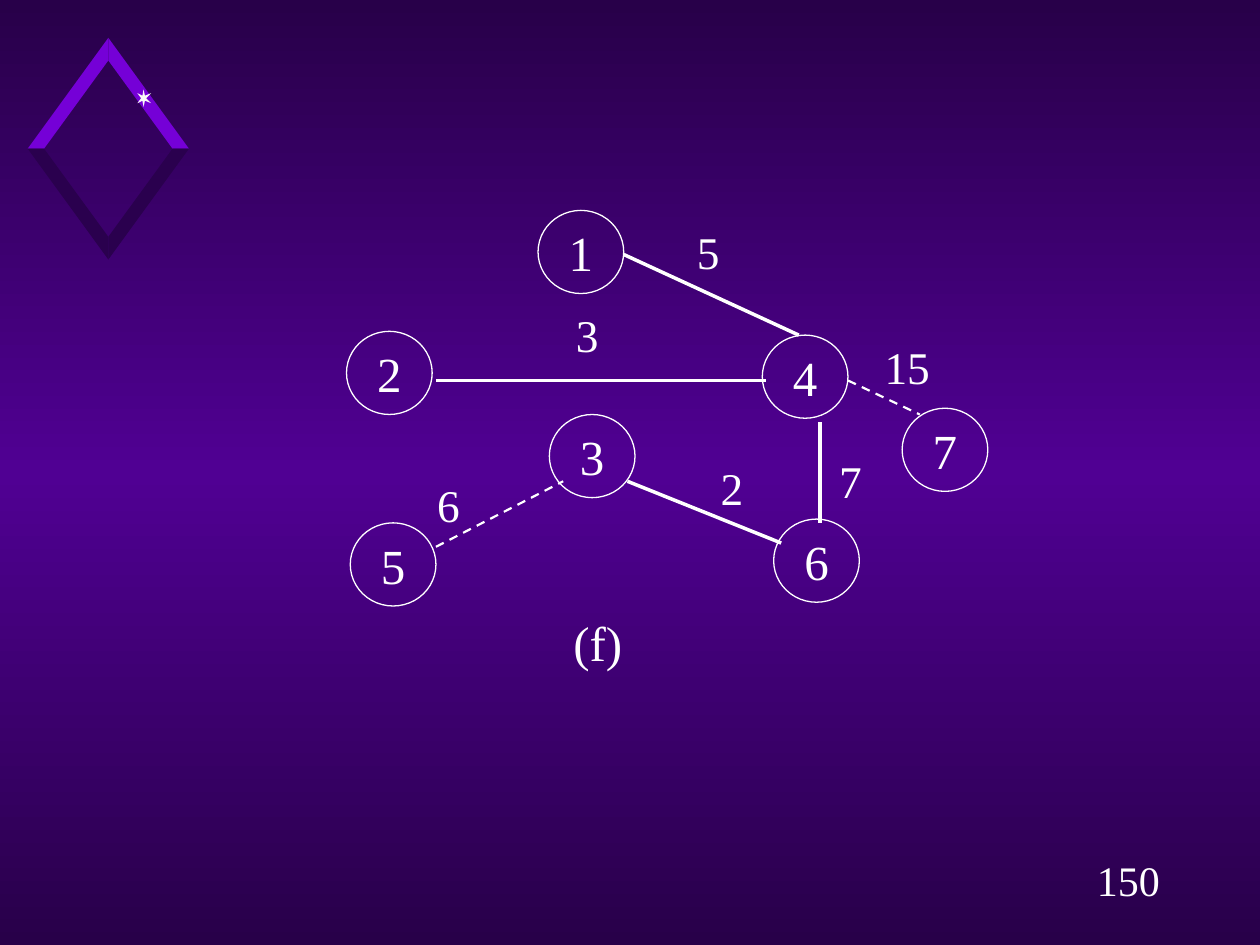
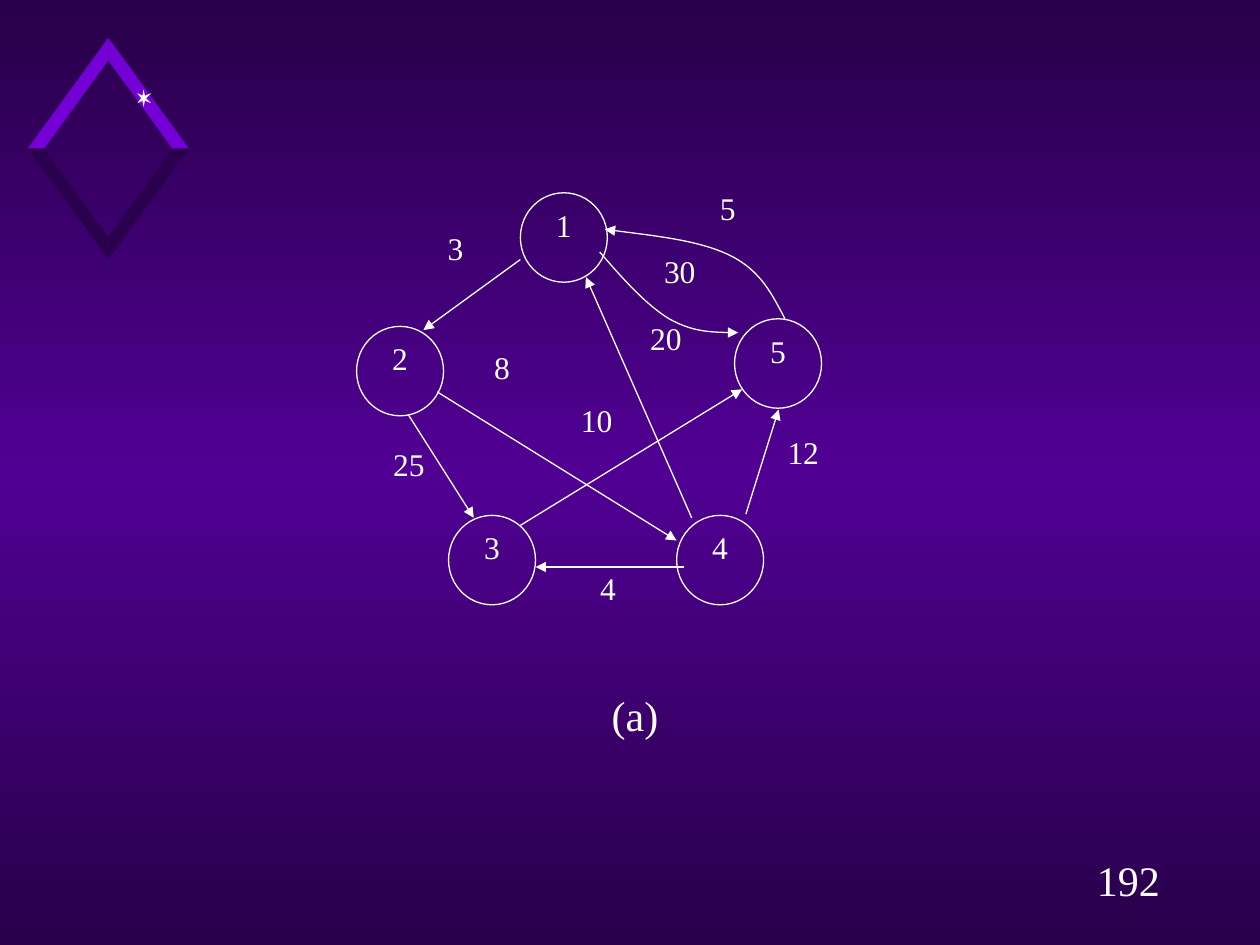
from lxml import etree
from pptx import Presentation
from pptx.dml.color import RGBColor
from pptx.enum.dml import MSO_LINE_DASH_STYLE as Dash
from pptx.enum.shapes import MSO_CONNECTOR as Link, MSO_SHAPE as Shape
from pptx.enum.text import MSO_ANCHOR as Anchor, PP_ALIGN as Align
from pptx.oxml.ns import qn
from pptx.util import Inches, Pt

COLORS = {"edge": "280049", "mid": "500093", "bright": "7500D7",
          "dark": "2A004E", "star": "F9F9F9", "ink": "FFFFFF"}
FONT = "Times New Roman"

# Shared diamond: one quarter, measured from its centre
CENTER = (0.86, 1.18)
QUARTER = [(0, -0.7), (0, -0.88), (0.64, 0), (0.51, 0)]
STAR = [(1.09, 0.74), (1.13, 0.76), (1.14, 0.71), (1.15, 0.76),
        (1.2, 0.74), (1.16, 0.78), (1.2, 0.82), (1.15, 0.8),
        (1.14, 0.85), (1.13, 0.8), (1.09, 0.82), (1.12, 0.78)]

# Nodes and labels: text, left, top. Edges: start, end, width, dashed
TREE = {
    "page": "150",
    "node": (0.68, 0.66, 28),
    "label": (0.62, 0.44, 25.9),
    "caption": ("(f)", 4.21, 4.86, 1.07, 0.47, 28, 0),
    "nodes": [("1", 4.27, 1.67), ("2", 2.75, 2.63), ("7", 7.16, 3.24),
              ("4", 6.05, 2.66), ("5", 2.78, 4.15), ("3", 4.36, 3.29),
              ("6", 6.14, 4.12)],
    "labels": [("7", 6.44, 3.6), ("2", 5.5, 3.65), ("6", 3.25, 3.79),
               ("15", 6.89, 2.69), ("3", 4.35, 2.44), ("5", 5.31, 1.78)],
    "edges": [((4.95, 2.02), (6.34, 2.66), 2, False),
              ((6.51, 3.35), (6.51, 4.15), 2, False),
              ((3.46, 3.02), (6.08, 3.02), 2, False),
              ((4.98, 3.82), (6.2, 4.31), 2, False),
              ((3.46, 4.34), (4.47, 3.82), 1.25, True),
              ((6.73, 3.02), (7.3, 3.29), 1.25, True)],
    "arrows": [],
    "curves": [],
}
DIGRAPH = {
    "page": "192",
    "node": (0.69, 0.71, 18),
    "label": (0.75, 0.56, 18),
    "caption": ("(a)", 3.58, 5.42, 2.92, 0.5, 24, 0.05),
    "nodes": [("1", 4.13, 1.53), ("3", 3.56, 4.09), ("5", 5.83, 2.53),
              ("4", 5.37, 4.09), ("2", 2.83, 2.59)],
    "labels": [("12", 6, 3.44), ("20", 4.91, 2.53), ("10", 4.36, 3.18),
               ("8", 3.61, 2.76), ("3", 3.24, 1.82), ("30", 5.02, 2),
               ("5", 5.4, 1.5), ("25", 2.87, 3.53), ("4", 4.45, 4.52)],
    "edges": [],
    "arrows": [((4.13, 2.06), (3.36, 2.62)), ((5.49, 4.11), (4.65, 2.2)),
               ((5.43, 4.5), (4.25, 4.5)), ((3.24, 3.29), (3.76, 4.11)),
               ((3.47, 3.11), (5.37, 4.29)), ((5.92, 4.08), (6.18, 3.25)),
               ((4.13, 4.17), (5.89, 3.09))],
    # Start, then two Bezier pieces of three points each
    "curves": [[(6.23, 2.53), (6.13, 2.34), (6.04, 2.15), (5.8, 2.03),
                (5.56, 1.91), (5.18, 1.87), (4.8, 1.82)],
               [(4.76, 2), (4.94, 2.21), (5.13, 2.42), (5.31, 2.53),
                (5.49, 2.63), (5.67, 2.64), (5.86, 2.64)]],
}


def tint(name):
    return RGBColor.from_string(COLORS[name])


def write(shape, text, size=18, pad=0, color="ink", align=Align.CENTER):
    frame = shape.text_frame
    frame.word_wrap = True
    frame.vertical_anchor = Anchor.TOP
    frame.margin_left = frame.margin_right = Inches(2 * pad)
    frame.margin_top = frame.margin_bottom = Inches(pad)
    para = frame.paragraphs[0]
    para.alignment = align
    run = para.add_run()
    run.text = text
    run.font.name, run.font.size = FONT, Pt(size)
    run.font.color.rgb = tint(color)


def box(slide, text, x, y, w, h, size, pad=0):
    write(slide.shapes.add_textbox(*map(Inches, (x, y, w, h))),
          text, size=size, pad=pad)


def ring(slide, text, x, y, w, h, size):
    shape = slide.shapes.add_shape(Shape.OVAL, *map(Inches, (x, y, w, h)))
    shape.shadow.inherit = False
    shape.fill.background()
    stroke(shape, 0.75)
    write(shape, text, size=size)


def stroke(shape, width, head=False):
    shape.line.color.rgb = tint("ink")
    shape.line.width = Pt(width)
    if head:
        line = shape._element.spPr.find(qn("a:ln"))
        etree.SubElement(line, qn("a:tailEnd"), type="triangle")


def link(slide, start, end, width=0.75, dashed=False, head=False):
    line = slide.shapes.add_connector(Link.STRAIGHT,
                                      *map(Inches, (*start, *end)))
    if dashed:
        line.line.dash_style = Dash.DASH
    stroke(line, width, head)
    etree.SubElement(line._element.spPr, qn("a:effectLst"))


def outline(slide, points, close=True):
    spots = [(Inches(x), Inches(y)) for x, y in points]
    form = slide.shapes.build_freeform(*spots[0])
    form.add_line_segments(spots[1:], close=close)
    shape = form.convert_to_shape()
    shape.shadow.inherit = False
    return shape


def solid(slide, points, color):
    shape = outline(slide, points)
    shape.fill.solid()
    shape.fill.fore_color.rgb = tint(color)
    shape.line.fill.background()


def curve(slide, points):
    shape = outline(slide, points, close=False)
    shape.fill.background()
    stroke(shape, 0.75, head=True)
    # Join each three segments into one Bezier piece
    trail = next(shape._element.iter(qn("a:path")))
    steps = trail.findall(qn("a:lnTo"))
    for i in range(0, len(steps), 3):
        piece = etree.SubElement(trail, qn("a:cubicBezTo"))
        for step in steps[i:i + 3]:
            piece.append(step[0])
            trail.remove(step)


def backdrop(master):
    fill = master.background.fill
    fill.gradient()
    fill.gradient_angle = 90
    stops = next(master._element.iter(qn("a:gsLst")))
    for stop in list(stops):
        stops.remove(stop)
    for pos, name in ((0, "edge"), (50, "mid"), (100, "edge")):
        stop = etree.SubElement(stops, qn("a:gs"), pos=str(pos * 1000))
        etree.SubElement(stop, qn("a:srgbClr"), val=COLORS[name])


def decor(slide, page):
    cx, cy = CENTER
    for sy, color in ((1, "bright"), (-1, "dark")):
        for sx in (1, -1):
            solid(slide, [(cx + sx * x, cy + sy * y) for x, y in QUARTER],
                  color)
    solid(slide, STAR, "star")
    box(slide, page, 8.58, 6.73, 0.75, 0.5, 24, pad=0.05)


def draw(slide, graph):
    decor(slide, graph["page"])
    for label in graph["labels"]:
        box(slide, *label, *graph["label"])
    for node in graph["nodes"]:
        ring(slide, *node, *graph["node"])
    for edge in graph["edges"]:
        link(slide, *edge)
    for start, end in graph["arrows"]:
        link(slide, start, end, head=True)
    for points in graph["curves"]:
        curve(slide, points)
    box(slide, *graph["caption"])


def main():
    prs = Presentation()
    prs.slide_width, prs.slide_height = Inches(10), Inches(7.5)
    backdrop(prs.slide_master)
    for graph in (TREE, DIGRAPH):
        draw(prs.slides.add_slide(prs.slide_layouts[6]), graph)
    prs.save("out.pptx")


if __name__ == "__main__":
    main()
